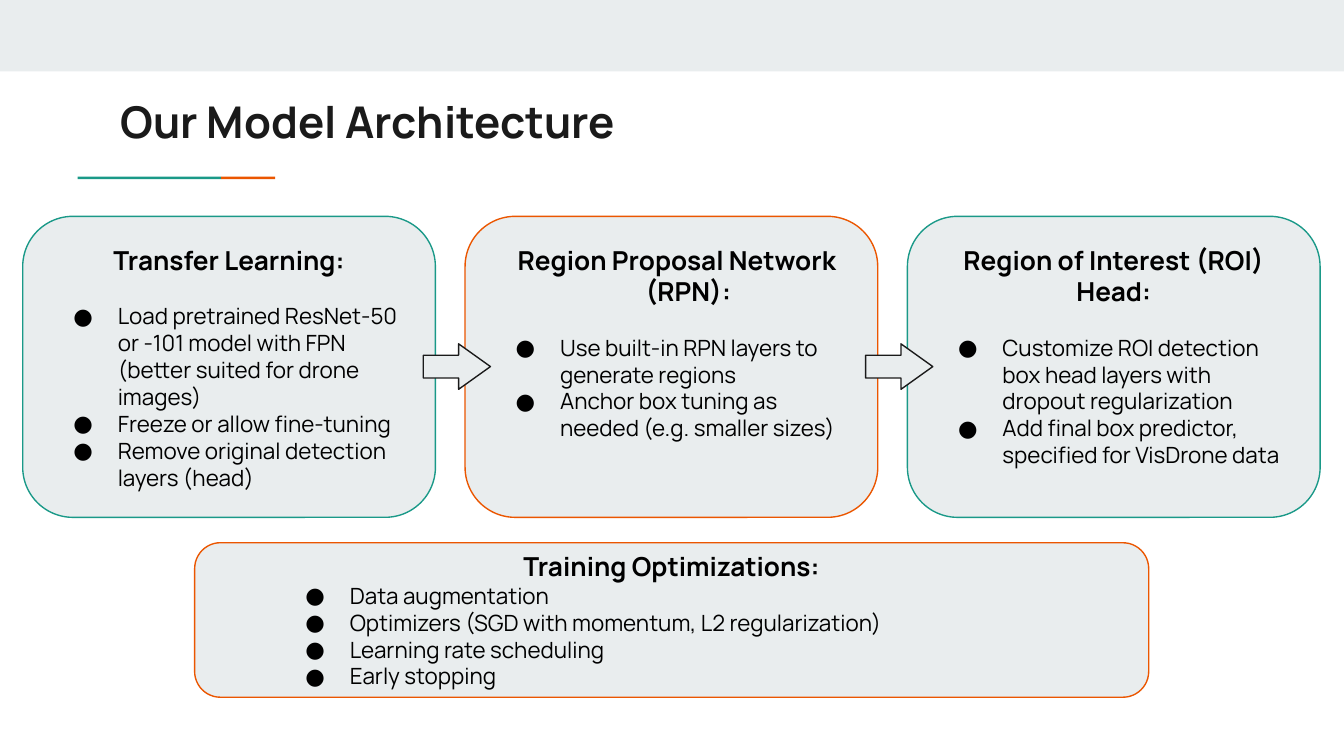
from dataclasses import dataclass

from lxml import etree
from pptx import Presentation
from pptx.dml.color import RGBColor
from pptx.enum.shapes import MSO_SHAPE as Shape
from pptx.enum.text import MSO_ANCHOR as Anchor, MSO_AUTO_SIZE as AutoSize, PP_ALIGN as Align
from pptx.oxml.ns import qn
from pptx.util import Cm, Pt


@dataclass(frozen=True)
class Theme:
    font: str = "Manrope"
    panel: str = "E9EDEE"
    teal: str = "1A9988"
    orange: str = "EB5600"
    dark: str = "1A1A1A"
    text: str = "000000"
    title_size: float = 23.4
    heading_size: float = 14
    body_size: float = 12
    line_width: float = 0.75


THEME = Theme()

# Card grid, in centimetres
CARD_LEFT, CARD_TOP, CARD_WIDTH, CARD_HEIGHT = 0.43, 4.09, 7.8, 5.69
CARD_STEP = 8.36
ARROW_LEFT, ARROW_TOP, ARROW_WIDTH, ARROW_HEIGHT = 8, 6.5, 1.27, 0.86
BULLET_HANG = -0.84

# Outline colour, heading, heading indents (left, first line), bullets
CARDS = [
    (THEME.teal, "Transfer Learning:", (0, 0), [
        "Load pretrained ResNet-50 or -101 model with FPN (better suited for drone images)",
        "Freeze or allow fine-tuning",
        "Remove original detection layers (head)",
    ]),
    (THEME.orange, "Region Proposal Network (RPN):", (0.64, -0.43), [
        "Use built-in RPN layers to generate regions",
        "Anchor box tuning as needed (e.g. smaller sizes)",
    ]),
    (THEME.teal, "Region of Interest (ROI) Head:", (0, 0), [
        "Customize ROI detection box head layers with dropout regularization",
        "Add final box predictor, specified for VisDrone data",
    ]),
]
OPTIMIZATIONS = [
    "Data augmentation",
    "Optimizers (SGD with momentum, L2 regularization)",
    "Learning rate scheduling",
    "Early stopping",
]


def prepare_frame(frame, anchor=Anchor.TOP):
    frame.word_wrap = True
    frame.auto_size = AutoSize.NONE
    frame.vertical_anchor = anchor
    frame.margin_left = frame.margin_right = Cm(0.25)
    frame.margin_top = frame.margin_bottom = Cm(0.25)


def add_bullet(paragraph):
    properties = paragraph._p.get_or_add_pPr()
    color = etree.SubElement(properties, qn("a:buClr"))
    etree.SubElement(color, qn("a:srgbClr"), val=THEME.text)
    etree.SubElement(properties, qn("a:buFont"), typeface=THEME.font)
    etree.SubElement(properties, qn("a:buChar"), char="●")


def write(paragraph, text, *, size=THEME.body_size, color=THEME.text, bold=False,
          align=Align.LEFT, space_after=0, indents=(0, 0), bullet=False):
    paragraph.alignment = align
    paragraph.space_before = Pt(0)
    paragraph.space_after = Pt(space_after)
    properties = paragraph._p.get_or_add_pPr()
    left, first_line = indents
    properties.set("marL", str(Cm(left)))
    properties.set("indent", str(Cm(first_line)))
    if bullet:
        add_bullet(paragraph)
    run = paragraph.add_run()
    run.text = text
    run.font.name = THEME.font
    run.font.size = Pt(size)
    run.font.bold = bold
    run.font.color.rgb = RGBColor.from_string(color)


def add_block(slide, kind, left, top, width, height, fill, line=None):
    shape = slide.shapes.add_shape(kind, Cm(left), Cm(top), Cm(width), Cm(height))
    shape.shadow.inherit = False
    shape.fill.solid()
    shape.fill.fore_color.rgb = RGBColor.from_string(fill)
    if line:
        shape.line.color.rgb = RGBColor.from_string(line)
        shape.line.width = Pt(THEME.line_width)
    else:
        shape.line.fill.background()
    return shape


def add_card(slide, box, outline, heading, bullets, *, heading_indents=(0, 0),
             heading_gap=0.0, bullet_left=1.27, anchor=Anchor.TOP):
    card = add_block(slide, Shape.ROUNDED_RECTANGLE, *box, THEME.panel, outline)
    frame = card.text_frame
    prepare_frame(frame, anchor)
    write(frame.paragraphs[0], heading, size=THEME.heading_size, bold=True,
          align=Align.CENTER, space_after=heading_gap, indents=heading_indents)
    for text in bullets:
        write(frame.add_paragraph(), text, indents=(bullet_left, BULLET_HANG), bullet=True)


def add_arrow(slide, left):
    arrow = add_block(slide, Shape.RIGHT_ARROW, left, ARROW_TOP, ARROW_WIDTH, ARROW_HEIGHT,
                      THEME.panel, THEME.dark)
    arrow.adjustments[1] = 0.7


def add_title(slide, text):
    title = slide.shapes.title
    title.left, title.top, title.width, title.height = Cm(2.03), Cm(1.55), Cm(21.36), Cm(1.5)
    prepare_frame(title.text_frame)
    write(title.text_frame.paragraphs[0], text, size=THEME.title_size,
          color=THEME.dark, bold=True)


def main():
    presentation = Presentation()
    presentation.slide_width, presentation.slide_height = Cm(25.4), Cm(14.29)
    slide = presentation.slides.add_slide(presentation.slide_layouts[5])

    # Top band, title and two-colour rule
    add_block(slide, Shape.RECTANGLE, 0, 0, 25.4, 1.35, THEME.panel)
    add_title(slide, "Our Model Architecture")
    add_block(slide, Shape.RECTANGLE, 1.47, 3.34, 2.71, 0.05, THEME.teal)
    add_block(slide, Shape.RECTANGLE, 4.18, 3.34, 1.02, 0.05, THEME.orange)

    # Training panel
    add_card(slide, (3.68, 10.26, 18.03, 2.92), THEME.orange, "Training Optimizations:",
             OPTIMIZATIONS, bullet_left=2.54, anchor=Anchor.MIDDLE)

    # Pipeline stages
    for index, (outline, heading, indents, bullets) in enumerate(CARDS):
        box = (CARD_LEFT + index * CARD_STEP, CARD_TOP, CARD_WIDTH, CARD_HEIGHT)
        add_card(slide, box, outline, heading, bullets,
                 heading_indents=indents, heading_gap=14.4)

    # Arrows between neighbouring stages
    for index in range(len(CARDS) - 1):
        add_arrow(slide, ARROW_LEFT + index * CARD_STEP)

    presentation.save("out.pptx")


if __name__ == "__main__":
    main()
